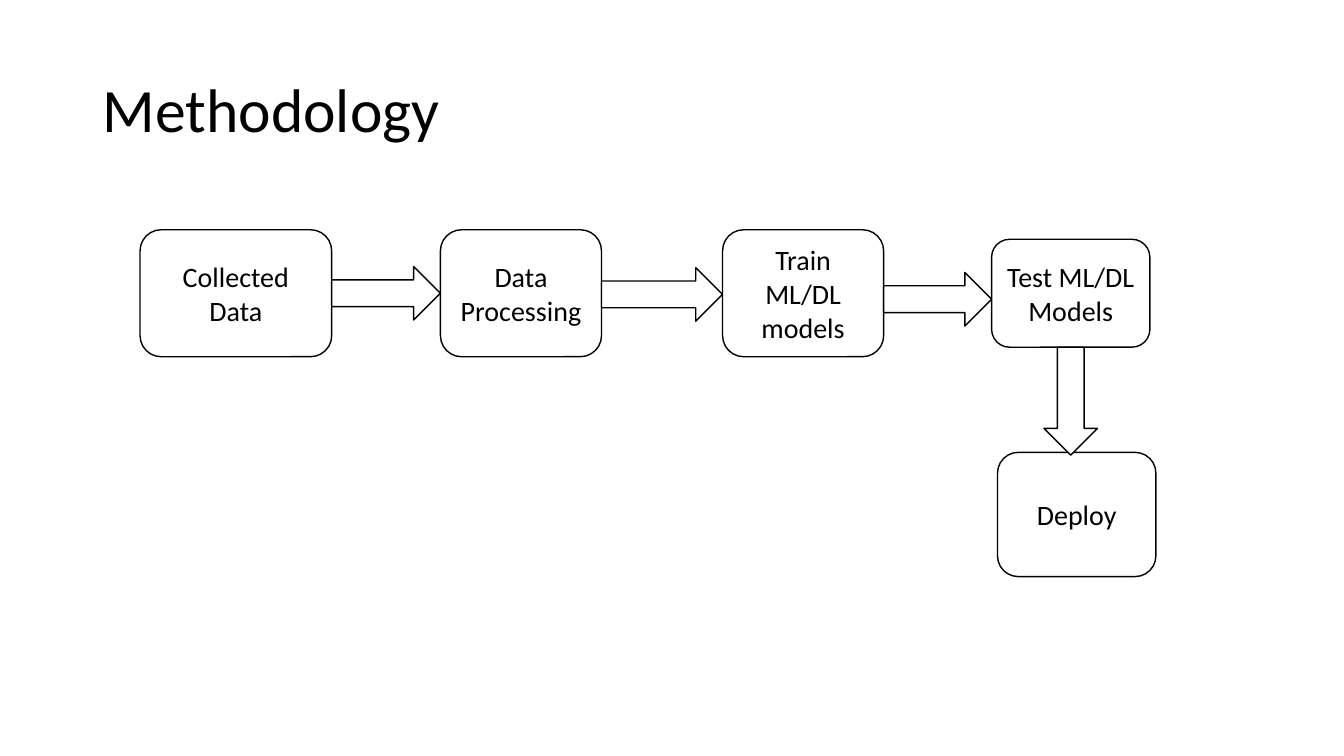
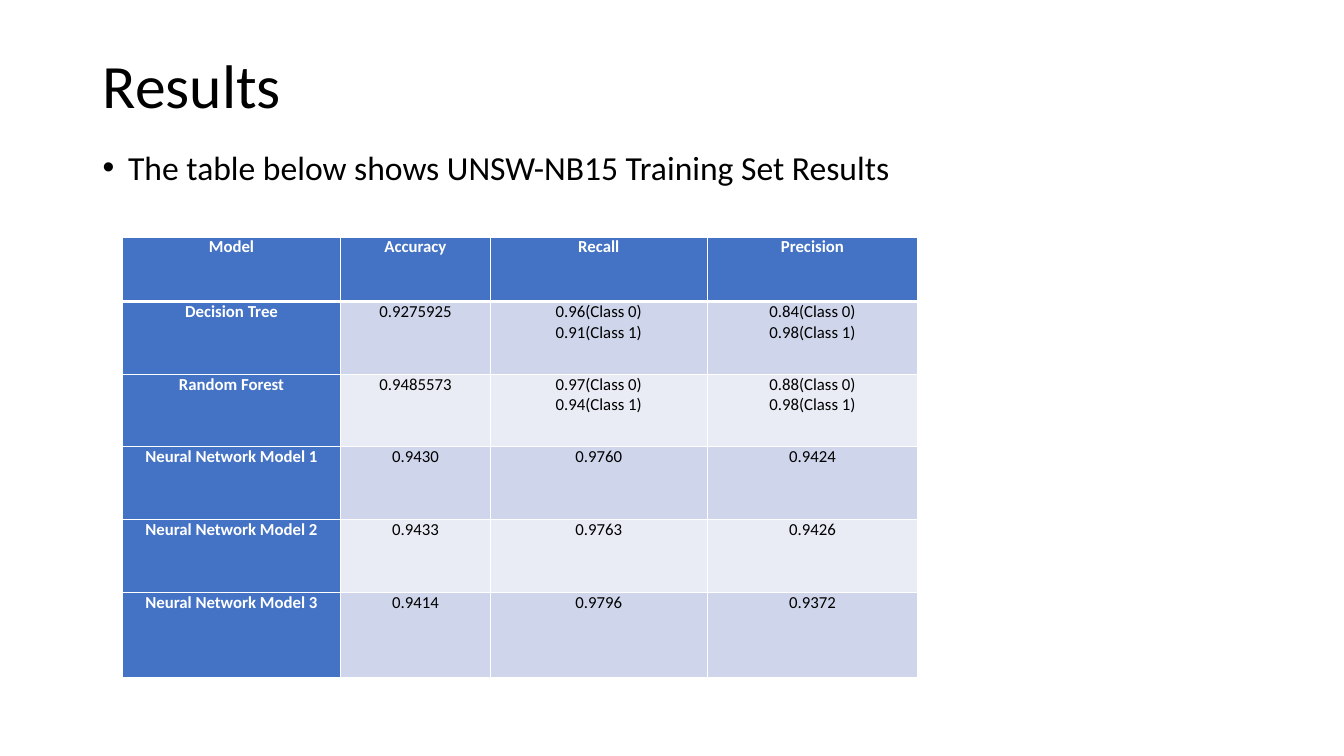
from copy import deepcopy
from dataclasses import dataclass

from pptx import Presentation
from pptx.dml.color import RGBColor
from pptx.enum.shapes import MSO_SHAPE
from pptx.enum.text import MSO_ANCHOR, PP_ALIGN
from pptx.oxml import parse_xml
from pptx.oxml.ns import nsdecls, qn
from pptx.util import Cm, Pt

ROUND_RECT = MSO_SHAPE.ROUNDED_RECTANGLE
RIGHT_ARROW = MSO_SHAPE.RIGHT_ARROW
DOWN_ARROW = MSO_SHAPE.DOWN_ARROW
TOP, MIDDLE = MSO_ANCHOR.TOP, MSO_ANCHOR.MIDDLE
LEFT, CENTER = PP_ALIGN.LEFT, PP_ALIGN.CENTER


@dataclass(frozen=True)
class Theme:
    font: str = "Calibri"
    black: str = "000000"
    white: str = "FFFFFF"
    accent: str = "4472C4"
    bands: tuple = ("CFD5EA", "E9EBF5")
    title: int = 44
    body: int = 24
    step: int = 20
    cell: int = 12


THEME = Theme()

# Flow: label, width, height; then gap and vertical shift of each arrow
STEPS = [
    ("Collected Data", 4.83, 3.2),
    ("Data Processing", 4.06, 3.2),
    ("Train ML/DL models", 4.06, 3.2),
    ("Test ML/DL Models", 3.99, 2.72),
]
ARROWS = [(2.74, 0), (3.05, 0.03), (2.72, 0.15)]
ARROW_THICKNESS = 1.35

# Table: first row and first column are headings
RESULTS = [
    ("Model", "Accuracy", "Recall", "Precision"),
    ("Decision Tree", "0.9275925", "0.96(Class 0)\n0.91(Class 1)",
     "0.84(Class 0)\n0.98(Class 1)"),
    ("Random Forest", "0.9485573", "0.97(Class 0)\n0.94(Class 1)",
     "0.88(Class 0)\n0.98(Class 1)"),
    ("Neural Network Model 1", "0.9430", "0.9760", "0.9424"),
    ("Neural Network Model 2", "0.9433", "0.9763", "0.9426"),
    ("Neural Network Model 3", "0.9414", "0.9796", "0.9372"),
]
COL_WIDTHS = [5.49, 3.78, 5.46, 5.31]
ROW_HEIGHTS = [1.63, 1.83, 1.83, 1.83, 1.83, 2.16]


def rgb(color):
    return RGBColor.from_string(color)


def set_attrs(obj, values):
    for name, value in values.items():
        setattr(obj, name, value)


def write(tf, text, size, color=THEME.black, bold=False, **para):
    """Fill the first paragraph of a text frame; newlines become line breaks."""
    p = tf.paragraphs[0]
    p.text = text
    set_attrs(p, para)
    for r in p.runs:
        set_attrs(r.font, {"name": THEME.font, "size": Pt(size), "bold": bold})
        r.font.color.rgb = rgb(color)
    for br in p._p.findall(qn("a:br")):
        br.append(deepcopy(p.runs[0]._r.rPr))
    return p


def add_text(s, box, text, size, anchor, **para):
    tf = s.shapes.add_textbox(*map(Cm, box)).text_frame
    set_attrs(tf, {"word_wrap": True, "vertical_anchor": anchor})
    return write(tf, text, size, alignment=LEFT, line_spacing=0.9, **para)


def add_title(s, text, top):
    add_text(s, (2.34, top, 29.21, 3.65), text, THEME.title, MIDDLE)


def add_bullet(s, box, text):
    p = add_text(s, box, text, THEME.body, TOP, space_before=Pt(10))
    pPr = p._p.get_or_add_pPr()
    pPr.set("marL", str(Cm(0.64)))
    pPr.set("indent", str(-Cm(0.64)))
    pPr.append(parse_xml(f'<a:buFont {nsdecls("a")} typeface="Arial"/>'))
    pPr.append(parse_xml(f'<a:buChar {nsdecls("a")} char="•"/>'))


def add_outlined(s, kind, box, text=""):
    sp = s.shapes.add_shape(kind, *map(Cm, box))
    sp.shadow.inherit = False
    sp.fill.solid()
    sp.fill.fore_color.rgb = rgb(THEME.white)
    sp.line.color.rgb = rgb(THEME.black)
    sp.line.width = Pt(1)
    if text:
        set_attrs(sp.text_frame, {"word_wrap": True, "vertical_anchor": MIDDLE})
        write(sp.text_frame, text, THEME.step, alignment=CENTER)


def add_flow(s, left, middle):
    """Row of steps centred on a line, with a last step below the row's end."""
    x = left
    for i, (label, width, height) in enumerate(STEPS):
        add_outlined(s, ROUND_RECT, (x, middle - height / 2, width, height), label)
        if i < len(ARROWS):
            gap, shift = ARROWS[i]
            y = middle + shift - ARROW_THICKNESS / 2
            add_outlined(s, RIGHT_ARROW, (x + width, y, gap, ARROW_THICKNESS))
            x += width + gap

    # Branch down from the last step in the row
    bottom = middle + height / 2
    add_outlined(s, ROUND_RECT, (x + 0.15, bottom + 2.65, width, 3.13), "Deploy")
    arrow_x = x + (width - ARROW_THICKNESS) / 2
    add_outlined(s, DOWN_ARROW, (arrow_x, bottom, ARROW_THICKNESS, 2.72))


def set_borders(cell, **widths):
    """Draw white borders; sides not named are 1 pt wide."""
    tcPr = cell._tc.get_or_add_tcPr()
    for side in "LRTB":
        tcPr.append(parse_xml(
            f'<a:ln{side} {nsdecls("a")} w="{Pt(widths.get(side, 1))}"><a:solidFill>'
            f'<a:srgbClr val="{THEME.white}"/></a:solidFill></a:ln{side}>'))


def add_results(s, left, top):
    size = sum(COL_WIDTHS), sum(ROW_HEIGHTS)
    table = s.shapes.add_table(len(RESULTS), len(COL_WIDTHS),
                               *map(Cm, (left, top, *size))).table
    for col, width in zip(table.columns, COL_WIDTHS):
        col.width = Cm(width)
    for row, height in zip(table.rows, ROW_HEIGHTS):
        row.height = Cm(height)

    margins = {"margin_left": Cm(0.18), "margin_right": Cm(0.18),
               "margin_top": 0, "margin_bottom": 0}
    for i, values in enumerate(RESULTS):
        for j, text in enumerate(values):
            cell = table.cell(i, j)
            heading = i == 0 or j == 0
            set_attrs(cell, margins)
            set_borders(cell, T=3 if i == 1 else 1, B=3 if i == 0 else 1)
            cell.fill.solid()
            cell.fill.fore_color.rgb = rgb(
                THEME.accent if heading else THEME.bands[(i - 1) % 2])
            write(cell.text_frame, text, THEME.cell,
                  THEME.white if heading else THEME.black, heading,
                  alignment=CENTER)


def methodology_slide(s):
    add_title(s, "Methodology", 1.02)
    add_flow(s, 3.53, 7.39)


def results_slide(s):
    add_title(s, "Results", 0.41)
    add_bullet(s, (2.34, 3.68, 29.21, 13.49),
               "The table below shows UNSW-NB15 Training Set Results")
    add_results(s, 3.09, 5.97)


def main():
    prs = Presentation()
    set_attrs(prs, {"slide_width": Cm(33.87), "slide_height": Cm(19.05)})
    for build in (methodology_slide, results_slide):
        build(prs.slides.add_slide(prs.slide_layouts[6]))
    prs.save("out.pptx")


if __name__ == "__main__":
    main()
